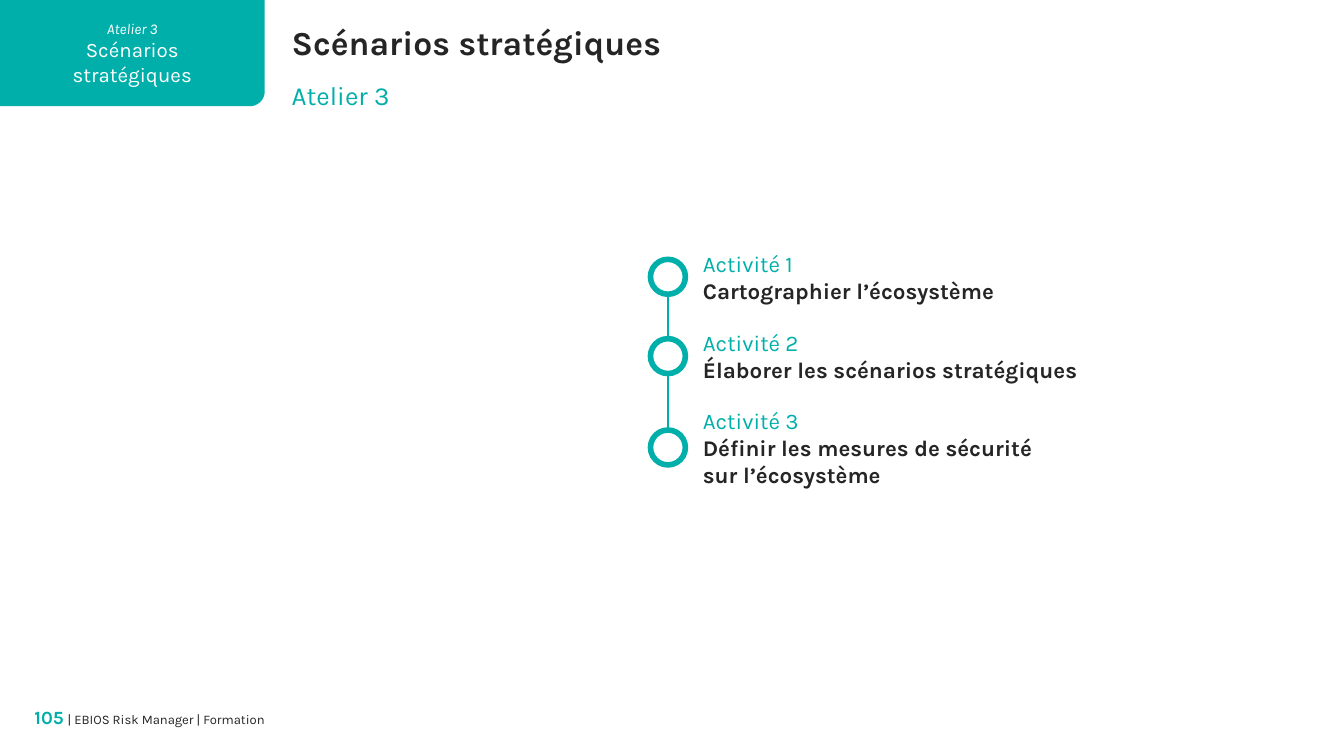
"""Build the opening slide of workshop 3, with its three activities."""
import math
from dataclasses import dataclass

from lxml import etree
from pptx import Presentation
from pptx import util as u
from pptx.dml.color import RGBColor
from pptx.enum import shapes, text
from pptx.oxml.ns import qn


@dataclass(frozen=True)
class Theme:
    font: str = "Karla"
    teal: str = "00AFAA"
    ink: str = "252525"
    gray: str = "323232"
    white: str = "FFFFFF"
    title: float = 18
    sub: float = 14
    body: float = 12
    tab: float = 11
    page: float = 10
    gap: float = 9
    note: float = 8
    foot: float = 7


@dataclass(frozen=True)
class Run:
    words: str
    size: float
    color: str
    bold: bool = False
    slant: bool = False


@dataclass(frozen=True)
class Step:
    label: str
    lines: tuple[str, ...]
    top: float
    width: float
    ring: float


T = Theme()
WIDE = 10
LEFT, DOT, AXIS = 5.23, 0.26, 4.97
STEPS = (
    Step("Activité 1", ("Cartographier l’écosystème",), 1.86, 2.87, 1.93),
    Step("Activité 2", ("Élaborer les scénarios stratégiques",), 2.45, 3.25, 2.52),
    Step("Activité 3", ("Définir les mesures de sécurité", "sur l’écosystème"),
         3.03, 2.87, 3.2),
)


def add_run(para, run: Run) -> None:
    """Append one styled run to a paragraph."""
    item = para.add_run()
    item.text = run.words
    font = item.font
    font.name, font.size = T.font, u.Pt(run.size)
    font.bold, font.italic = run.bold, run.slant
    font.color.rgb = RGBColor.from_string(run.color)


def set_frame(frame) -> None:
    """Give a text frame no margins, wrapping and a top anchor."""
    frame.margin_left = frame.margin_right = 0
    frame.margin_top = frame.margin_bottom = 0
    frame.word_wrap = True
    frame.auto_size = text.MSO_AUTO_SIZE.NONE
    frame.vertical_anchor = text.MSO_ANCHOR.TOP


def add_box(slide, left: float, top: float, width: float, height: float):
    """Add a text box and return its first paragraph."""
    box = slide.shapes.add_textbox(*map(u.Inches, (left, top, width, height)))
    set_frame(box.text_frame)
    return box.text_frame.paragraphs[0]


def add_title(slide) -> None:
    """Place and fill the title placeholder."""
    title = slide.shapes.title
    title.left, title.top = u.Inches(2.17), u.Inches(0.16)
    title.width, title.height = u.Inches(7.48), u.Inches(0.3)
    set_frame(title.text_frame)
    para = title.text_frame.paragraphs[0]
    para.alignment = text.PP_ALIGN.LEFT
    add_run(para, Run("Scénarios stratégiques", T.title, T.ink, bold=True))


def add_tab(slide, width: float, height: float, radius: float) -> None:
    """Draw the corner tab, rounded at its lower right."""
    turns = [math.radians(deg) for deg in range(0, 91, 5)]
    curve = [(u.Inches(width - radius + radius * math.cos(turn)),
              u.Inches(height - radius + radius * math.sin(turn)))
             for turn in turns]
    pen = slide.shapes.build_freeform(0, 0)
    pen.add_line_segments([(u.Inches(width), 0), *curve, (0, u.Inches(height))])
    tab = pen.convert_to_shape()
    tab.shadow.inherit = False
    tab.fill.solid()
    tab.fill.fore_color.rgb = RGBColor.from_string(T.teal)
    tab.line.fill.background()
    frame = tab.text_frame
    frame.word_wrap = True
    frame.vertical_anchor = text.MSO_ANCHOR.MIDDLE
    runs = (Run("Atelier 3", T.note, T.white, slant=True),
            Run("Scénarios", T.tab, T.white),
            Run("stratégiques", T.tab, T.white))
    for index, run in enumerate(runs):
        para = frame.add_paragraph() if index else frame.paragraphs[0]
        para.alignment = text.PP_ALIGN.CENTER
        add_run(para, run)


def add_axis(slide, start: float, end: float) -> None:
    """Draw the vertical line that joins the rings."""
    line = slide.shapes.add_connector(
        shapes.MSO_CONNECTOR.STRAIGHT,
        *map(u.Inches, (AXIS, start, AXIS, end)))
    line.line.color.rgb = RGBColor.from_string(T.teal)
    line.line.width = u.Pt(1.25)
    etree.SubElement(line._element.spPr, qn("a:effectLst"))


def add_step(slide, step: Step) -> None:
    """Draw one activity: its ring, label and name."""
    ring = slide.shapes.add_shape(
        shapes.MSO_SHAPE.OVAL,
        *map(u.Inches, (AXIS - DOT / 2, step.ring, DOT, DOT)))
    ring.shadow.inherit = False
    ring.fill.solid()
    ring.fill.fore_color.rgb = RGBColor.from_string(T.white)
    ring.line.color.rgb = RGBColor.from_string(T.teal)
    ring.line.width = u.Pt(3)
    para = add_box(slide, LEFT, step.top, step.width, 0.2 * (1 + len(step.lines)))
    add_run(para, Run(step.label, T.body, T.teal))
    for line in step.lines:
        para.add_line_break()
        add_run(para, Run(line, T.body, T.ink, bold=True))


def add_foot(slide) -> None:
    """Write the page number and the course name."""
    para = add_box(slide, 0.2, 5.25, 1.77, 0.2)
    para.alignment = text.PP_ALIGN.RIGHT
    add_run(para, Run("105", T.page, T.teal, bold=True))
    add_run(para, Run(" ", T.gap, T.gray))
    add_run(para, Run("| EBIOS Risk Manager | Formation", T.foot, T.ink))


def main() -> None:
    """Build and save the deck."""
    deck = Presentation()
    deck.slide_width, deck.slide_height = u.Inches(WIDE), u.Inches(WIDE * 9 / 16)
    slide = deck.slides.add_slide(deck.slide_layouts[5])
    add_title(slide)
    add_foot(slide)
    add_tab(slide, 1.97, 0.79, 0.11)
    add_axis(slide, STEPS[0].ring, STEPS[-1].ring + DOT / 2)
    for step in STEPS:
        add_step(slide, step)
    add_run(add_box(slide, 2.17, 0.59, 7.04, 0.24),
            Run("Atelier 3", T.sub, T.teal))
    deck.save("out.pptx")


if __name__ == "__main__":
    main()
